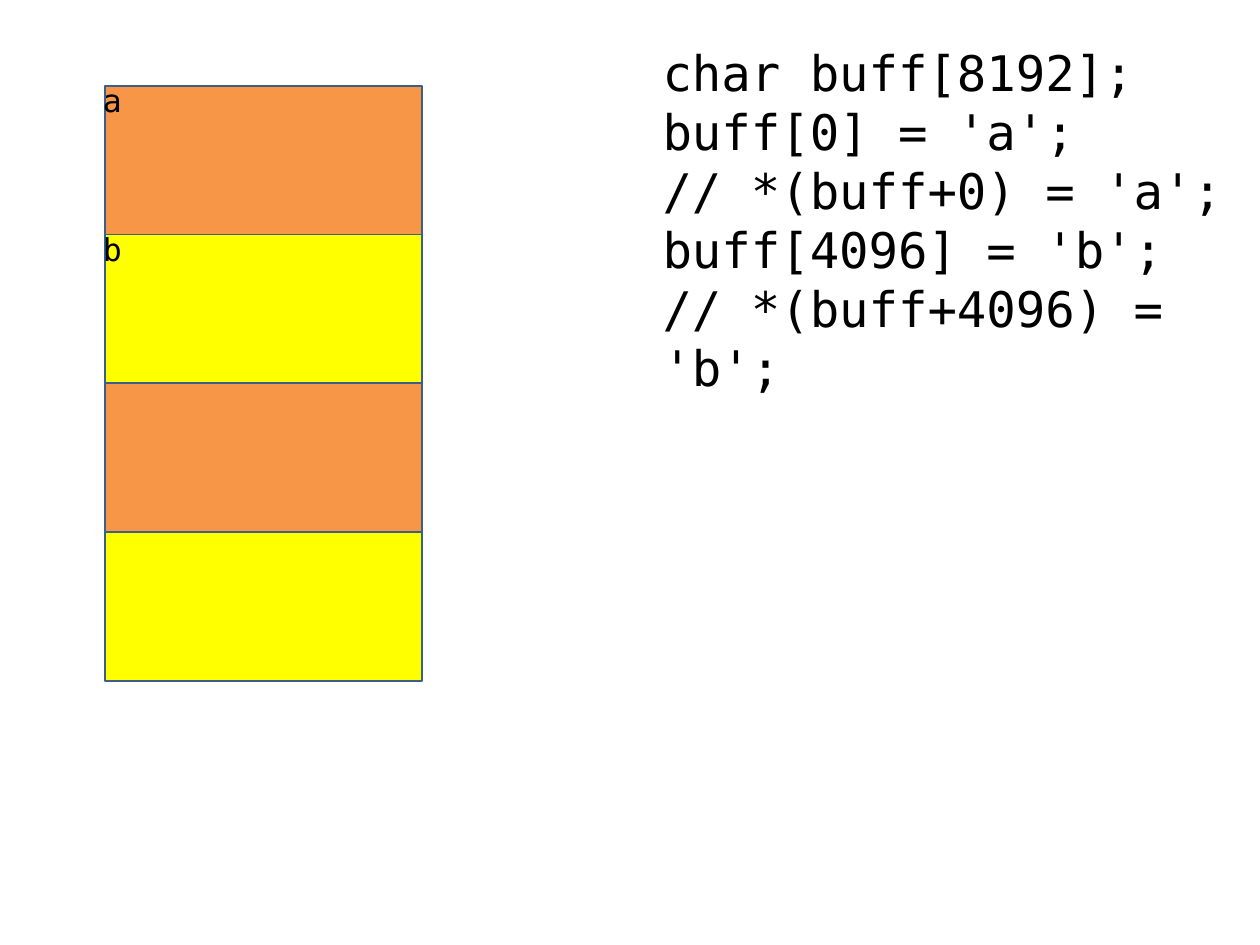
"""Build a slide showing how array writes land in memory pages."""
from dataclasses import dataclass

from pptx import Presentation
from pptx.dml.color import RGBColor
from pptx.enum.shapes import MSO_SHAPE as Shape
from pptx.enum.text import MSO_AUTO_SIZE as AutoSize
from pptx.slide import Slide
from pptx.util import Pt

FONT = "DejaVu Sans Mono"
ORANGE, YELLOW, BLUE, BLACK = "F79646", "FFFF00", "3A5F8C", "000000"
PAGE_LEFT, PAGE_TOP, PAGE_WIDTH, PAGE_HEIGHT = 59.8, 49, 181.4, 85


@dataclass
class Page:
    fill: str
    label: str = ""


PAGES = [Page(ORANGE, "a"), Page(YELLOW, "b"), Page(ORANGE), Page(YELLOW)]
CODE = [
    "char buff[8192];",
    "buff[0] = 'a';",
    "// *(buff+0) = 'a';",
    "buff[4096] = 'b';",
    "// *(buff+4096) = 'b';",
]


def color(value: str) -> RGBColor:
    return RGBColor.from_string(value)


def add_text(s: Slide, lines: list[str], left: float, top: float,
             width: float, height: float, size: float, wrap: bool) -> None:
    tf = s.shapes.add_textbox(Pt(left), Pt(top), Pt(width), Pt(height)).text_frame
    tf.word_wrap = wrap
    tf.auto_size = AutoSize.SHAPE_TO_FIT_TEXT
    tf.text = "\n".join(lines)
    for p in tf.paragraphs:
        p.font.name = FONT
        p.font.size = Pt(size)
        p.font.color.rgb = color(BLACK)


def add_page(s: Slide, page: Page, top: float) -> None:
    sp = s.shapes.add_shape(Shape.RECTANGLE, Pt(PAGE_LEFT), Pt(top),
                            Pt(PAGE_WIDTH), Pt(PAGE_HEIGHT))
    sp.shadow.inherit = False
    sp.fill.solid()
    sp.fill.fore_color.rgb = color(page.fill)
    sp.line.color.rgb = color(BLUE)
    sp.line.width = Pt(1)


def main() -> None:
    prs = Presentation()
    prs.slide_width, prs.slide_height = Pt(720), Pt(540)
    s = prs.slides.add_slide(prs.slide_layouts[6])
    add_text(s, CODE, 371.5, 21, 356.4, 211, 28, wrap=True)
    tops = [PAGE_TOP + i * PAGE_HEIGHT for i in range(len(PAGES))]
    for page, top in zip(PAGES, tops):
        add_page(s, page, top)
    for page, top in zip(PAGES, tops):
        if page.label:
            add_text(s, [page.label], PAGE_LEFT - 8, top - 6, 24.5, 29, 18, wrap=False)
    prs.save("out.pptx")


if __name__ == "__main__":
    main()
